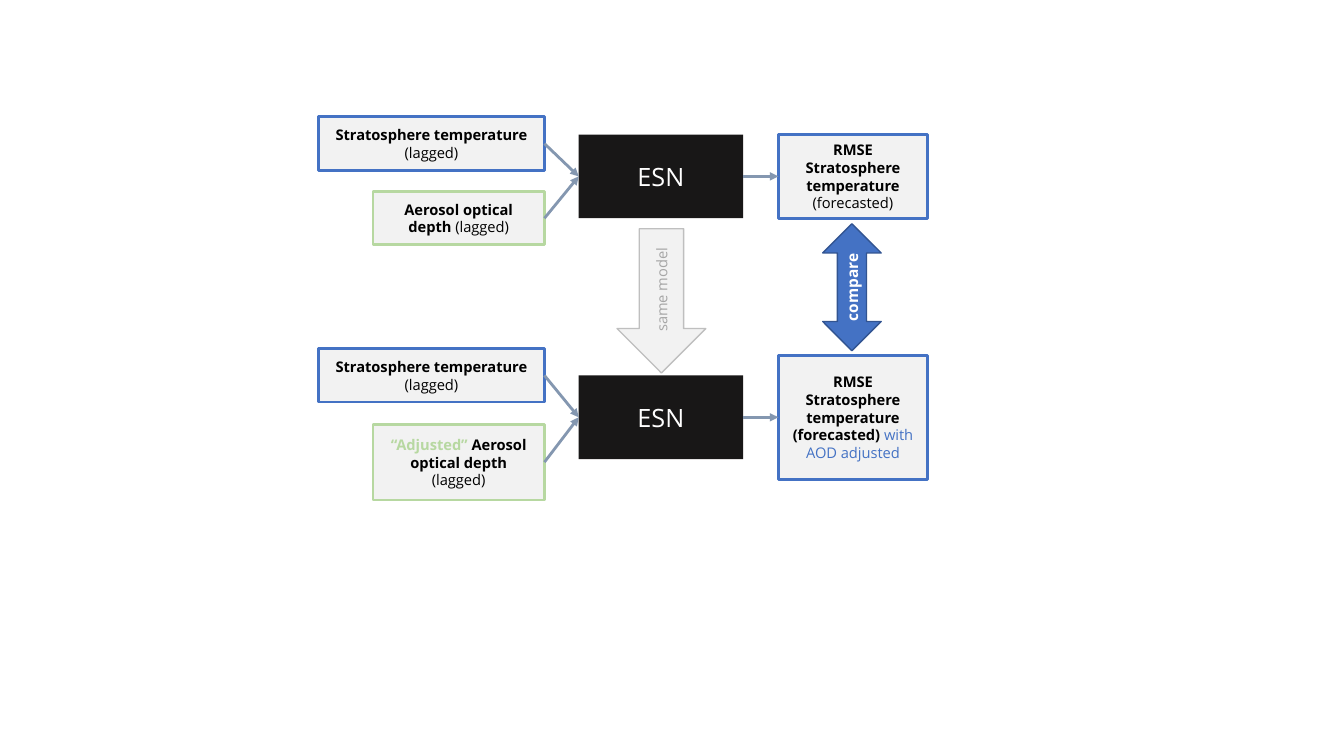
from collections import namedtuple

from lxml import etree
from pptx import Presentation
from pptx import util as u
from pptx.dml.color import RGBColor
from pptx.enum import shapes, text
from pptx.oxml.ns import qn

BLACK = RGBColor(0x00, 0x00, 0x00)
WHITE = RGBColor(0xFF, 0xFF, 0xFF)
INK = RGBColor(0x18, 0x17, 0x17)
PALE = RGBColor(0xF2, 0xF2, 0xF2)
SILVER = RGBColor(0xBF, 0xBF, 0xBF)
GREY = RGBColor(0xA6, 0xA6, 0xA6)
BLUE = RGBColor(0x44, 0x72, 0xC4)
DARK_BLUE = RGBColor(0x32, 0x54, 0x91)
GREEN = RGBColor(0xB7, 0xD8, 0xA1)
STEEL = RGBColor(0x84, 0x97, 0xB0)

FONT = "Open Sans"
LABEL_SIZE = 10.5
TOP, LEFT, RIGHT = 0, 1, 3  # connection sites of a rectangle

# Columns of a row, in inches from its left edge: (offset, width)
TEMPERATURE_COLUMN = (0, 2.24)
AEROSOL_COLUMN = (0.54, 1.7)
MODEL_COLUMN = (2.58, 1.63)
OUTPUT_COLUMN = (4.56, 1.48)
TEMPERATURE_HEIGHT = 0.53
MODEL_HEIGHT = 0.83

Box = namedtuple("Box", "left top width height")
Run = namedtuple("Run", "words bold color size", defaults=(False, BLACK, LABEL_SIZE))


def add_block(slide, preset, box, fill, line, paragraphs, line_width=2.0):
    """Add a filled preset shape with centred text, one list of runs a paragraph."""
    shape = slide.shapes.add_shape(preset, *(u.Inches(length) for length in box))
    shape.shadow.inherit = False
    shape.fill.solid()
    shape.fill.fore_color.rgb = fill
    if line is None:
        shape.line.fill.background()
    else:
        shape.line.color.rgb = line
        shape.line.width = u.Pt(line_width)
    frame = shape.text_frame
    frame.word_wrap = True
    frame.vertical_anchor = text.MSO_ANCHOR.MIDDLE
    for index, runs in enumerate(paragraphs):
        paragraph = frame.add_paragraph() if index else frame.paragraphs[0]
        paragraph.alignment = text.PP_ALIGN.CENTER
        for item in runs:
            run = paragraph.add_run()
            run.text = item.words
            font_format = {"name": FONT, "size": u.Pt(item.size), "bold": item.bold}
            for attribute, value in font_format.items():
                setattr(run.font, attribute, value)
            run.font.color.rgb = item.color
    return shape


def add_arrow(slide, source, target):
    """Join the right side of source to the left side of target."""
    connector = slide.shapes.add_connector(shapes.MSO_CONNECTOR.STRAIGHT, 0, 0, 0, 0)
    connector.begin_connect(source, RIGHT)
    connector.end_connect(target, LEFT)
    connector.line.color.rgb = STEEL
    connector.line.width = u.Pt(2)
    etree.SubElement(connector.line._get_or_add_ln(), qn("a:tailEnd"), type="triangle")
    etree.SubElement(connector.element.spPr, qn("a:effectLst"))


def add_forecast_row(slide, box, axis, aerosol_height, aerosol, output_height, output):
    """Two inputs feed the model, which feeds the output; axis is the model's centre line."""
    def place(column, top, height):
        offset, width = column
        return Box(box.left + offset, top, width, height)

    def centred(column, height):
        return place(column, axis - height / 2, height)

    rectangle = shapes.MSO_SHAPE.RECTANGLE
    model = add_block(slide, rectangle, centred(MODEL_COLUMN, MODEL_HEIGHT),
                      INK, None, [[Run("ESN", False, WHITE, 18)]])
    aerosol_top = box.top + box.height - aerosol_height
    aerosol_input = add_block(slide, rectangle,
                              place(AEROSOL_COLUMN, aerosol_top, aerosol_height),
                              PALE, GREEN, aerosol)
    temperature_input = add_block(
        slide, rectangle, place(TEMPERATURE_COLUMN, box.top, TEMPERATURE_HEIGHT),
        PALE, BLUE, [[Run("Stratosphere temperature ", True), Run("(lagged)")]])
    result = add_block(slide, rectangle, centred(OUTPUT_COLUMN, output_height),
                       PALE, BLUE, output)
    for source, target in ((temperature_input, model), (aerosol_input, model),
                           (model, result)):
        add_arrow(slide, source, target)


def add_vertical_arrow(slide, preset, box, fill, line, label):
    """Add a block arrow whose label reads upwards."""
    arrow = add_block(slide, preset, box, fill, line, [[label]], line_width=1)
    arrow.element.xpath(".//a:bodyPr")[0].set("vert", "vert270")


def main():
    presentation = Presentation()
    presentation.slide_width = u.Inches(13.33)
    presentation.slide_height = u.Inches(7.5)
    slide = presentation.slides.add_slide(presentation.slide_layouts[6])

    add_forecast_row(
        slide, Box(3.16, 1.16, 6.04, 1.27), 1.75,
        0.53, [[Run("Aerosol optical depth ", True), Run("(lagged)")]],
        0.83, [[Run("RMSE Stratosphere temperature ", True), Run("(forecasted)")]])
    add_forecast_row(
        slide, Box(3.16, 3.46, 6.04, 1.5), 4.14,
        0.75, [[Run("“Adjusted”", True, GREEN), Run(" Aerosol optical depth ", True),
                Run("(lagged)")]],
        1.23, [[Run("RMSE", True)],
               [Run("Stratosphere temperature (forecasted) ", True),
                Run("with AOD adjusted", False, BLUE)]])

    add_vertical_arrow(slide, shapes.MSO_SHAPE.DOWN_ARROW, Box(6.12, 2.27, 0.88, 1.43),
                       PALE, SILVER, Run("same model", False, GREY))
    add_vertical_arrow(slide, shapes.MSO_SHAPE.UP_DOWN_ARROW, Box(8.16, 2.22, 0.58, 1.26),
                       BLUE, DARK_BLUE, Run("compare", True, WHITE, 11))

    presentation.save("out.pptx")


if __name__ == "__main__":
    main()
